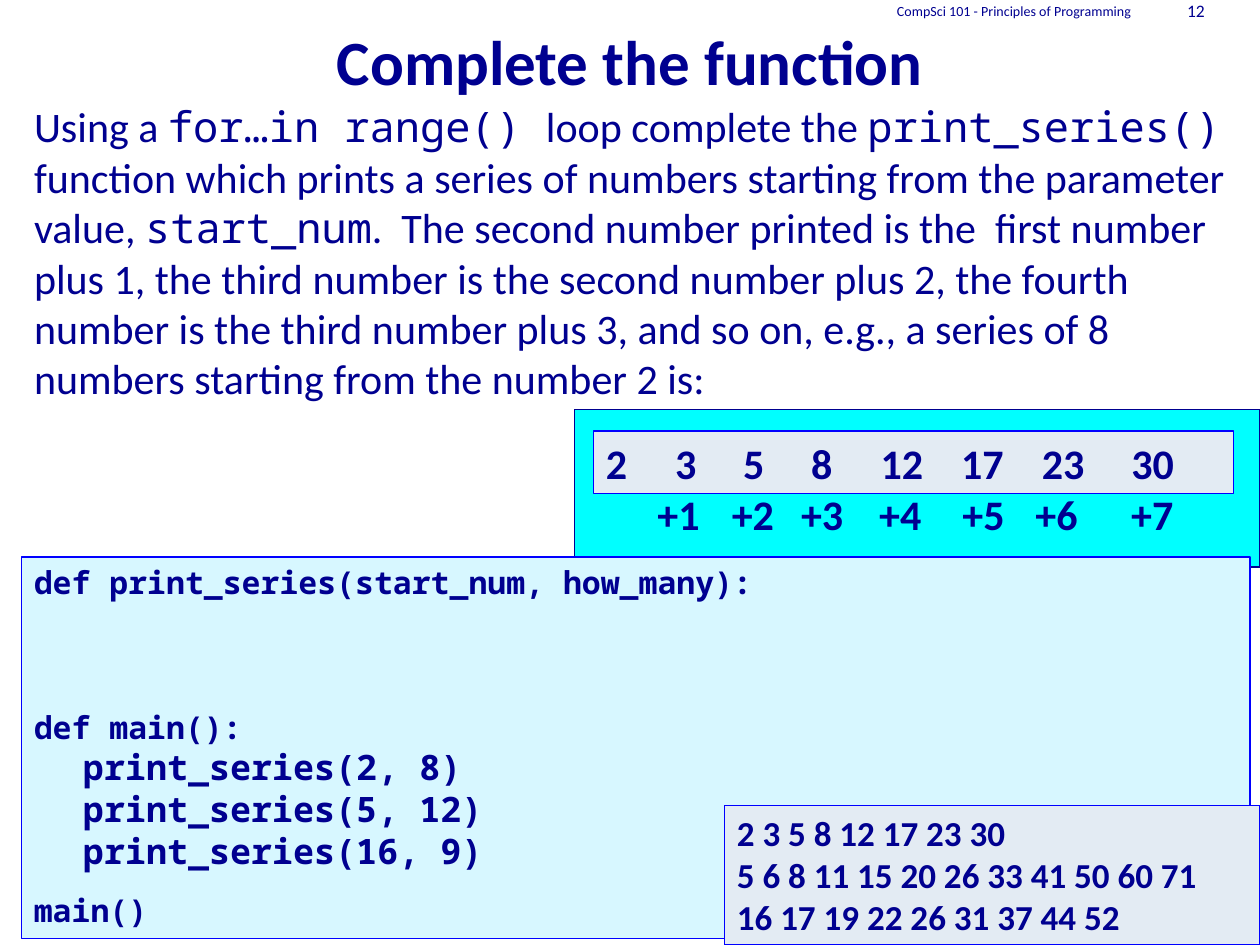
"""Build the "Complete the function" exercise slide."""
from dataclasses import dataclass

from lxml import etree
from pptx import Presentation
from pptx.dml.color import RGBColor
from pptx.enum import shapes, text
from pptx.oxml.ns import qn
from pptx.util import Inches, Pt


@dataclass(frozen=True)
class Theme:
    """Colours, fonts and type sizes."""
    ink: str = "000090"
    edge: str = "0000FF"
    panel: str = "00FFFF"
    code_fill: str = "D7F7FF"
    output_fill: str = "E3EBF3"
    prose: str = "Calibri"
    mono: str = "Noto Sans Mono"
    title: int = 36
    body: int = 24
    output: int = 20
    code: int = 18
    number: int = 10
    footer: int = 8


THEME = Theme()
ALIGN, ANCHOR = text.PP_ALIGN, text.MSO_ANCHOR

TITLE = "Complete the function"
FOOTER = "CompSci 101 - Principles of Programming"
NUMBER = "12"
TASK = [
    ("Using a ", THEME.prose),
    ("for…in range() ", THEME.mono),
    ("loop complete the ", THEME.prose),
    ("print_series() ", THEME.mono),
    ("function which prints a series of numbers starting from the parameter value, ", THEME.prose),
    ("start_num", THEME.mono),
    (".  The second number printed is the  first number plus 1, the third number is the "
     "second number plus 2, the fourth number is the third number plus 3, and so on, e.g., "
     "a series of 8 numbers starting from the number 2 is:", THEME.prose),
]
SERIES = [2, 3, 5, 8, 12, 17, 23, 30]
SERIES_TABS = [0.55, 1.09, 1.63, 2.18, 2.82, 3.46, 4.17]
STEP_LEFTS = [5.12, 5.71, 6.26, 6.88, 7.54, 8.12, 8.88]
CODE = [
    ("def print_series(start_num, how_many):", THEME.code, 0),
    ("def main():", THEME.code, 61),
    ("\tprint_series(2, 8)", THEME.output, 0),
    ("\tprint_series(5, 12)", THEME.output, 0),
    ("\tprint_series(16, 9)", THEME.output, 0),
    ("main()", THEME.code, 11),
]
OUTPUT = [
    "2 3 5 8 12 17 23 30",
    "5 6 8 11 15 20 26 33 41 50 60 71",
    "16 17 19 22 26 31 37 44 52",
]


def color(code):
    """Turn a hex code into a colour."""
    return RGBColor.from_string(code)


def write(para, words, *, size, font=THEME.prose, bold=False, align=ALIGN.LEFT,
          before=None, tabs=()):
    """Add formatted words to a paragraph."""
    para.alignment = align
    if before is not None:
        para.space_before = Pt(before)
    if tabs:
        stops = etree.SubElement(para._p.get_or_add_pPr(), qn("a:tabLst"))
        for stop in tabs:
            etree.SubElement(stops, qn("a:tab"), pos=str(Inches(stop)), algn="l")
    span = para.add_run()
    span.text = words
    span.font.name, span.font.size, span.font.bold = font, Pt(size), bold
    span.font.color.rgb = color(THEME.ink)


def write_lines(box, lines, anchor=ANCHOR.TOP):
    """Fill a box with (words, format) lines."""
    frame = box.text_frame
    frame.word_wrap = True
    frame.vertical_anchor = anchor
    for index, (words, look) in enumerate(lines):
        para = frame.add_paragraph() if index else frame.paragraphs[0]
        write(para, words, **look)


def place(box, left, top, width, height):
    """Move and size a placeholder in inches."""
    box.left, box.top = Inches(left), Inches(top)
    box.width, box.height = Inches(width), Inches(height)


def add_label(parent, at, words, anchor=ANCHOR.TOP, **look):
    """Add a one-line text box."""
    box = parent.add_textbox(*map(Inches, at))
    write_lines(box, [(words, look)], anchor)


def add_panel(parent, at, fill, edge=THEME.edge, lines=()):
    """Add a filled rectangle with optional lines of text."""
    box = parent.add_shape(shapes.MSO_SHAPE.RECTANGLE, *map(Inches, at))
    box.shadow.inherit = False
    box.fill.solid()
    box.fill.fore_color.rgb = color(fill)
    box.line.color.rgb = color(edge)
    box.line.width = Pt(0.75)
    write_lines(box, lines)


def add_task(body):
    """Fill the body placeholder with the unbulleted task."""
    place(body, 0.17, 0.75, 9.75, 5.13)
    body.text_frame.auto_size = text.MSO_AUTO_SIZE.NONE
    para = body.text_frame.paragraphs[0]
    properties = para._p.get_or_add_pPr()
    properties.set("marL", "0")
    properties.set("indent", "0")
    etree.SubElement(properties, qn("a:buNone"))
    for words, font in TASK:
        write(para, words, size=THEME.body, font=font)


def add_series(slide):
    """Add the grouped number series with its steps."""
    group = slide.shapes.add_group_shape().shapes
    look = {"size": THEME.body, "bold": True}
    add_panel(group, (4.56, 3.25, 5.44, 1.25), THEME.panel, THEME.ink)
    add_panel(group, (4.71, 3.42, 5.08, 0.5), THEME.output_fill,
              lines=[("\t".join(map(str, SERIES)), {**look, "tabs": SERIES_TABS})])
    for step, left in enumerate(STEP_LEFTS, 1):
        add_label(group, (left, 3.83, 0.67, 0.5), f"+{step}", **look)


def main():
    """Build and save the deck."""
    deck = Presentation()
    deck.slide_width, deck.slide_height = Inches(10), Inches(7.5)
    slide = deck.slides.add_slide(deck.slide_layouts[1])
    title, body = slide.placeholders
    place(title, 0, 0, 10, 0.83)
    write_lines(title, [(TITLE, {"size": THEME.title, "bold": True, "align": ALIGN.CENTER})],
                ANCHOR.BOTTOM)
    add_task(body)
    for at, words, size in [((9.08, 0, 0.58, 0.17), NUMBER, THEME.number),
                            ((6.08, 0, 3, 0.17), FOOTER, THEME.footer)]:
        add_label(slide.shapes, at, words, ANCHOR.MIDDLE, size=size, align=ALIGN.RIGHT)
    add_series(slide)
    add_panel(slide.shapes, (0.17, 4.42, 9.75, 3.03), THEME.code_fill, lines=[
        (words, {"size": size, "font": THEME.mono, "bold": True, "before": before,
                 "tabs": [0.39]})
        for words, size, before in CODE])
    add_panel(slide.shapes, (5.75, 6.39, 4.25, 1.11), THEME.output_fill, lines=[
        (words, {"size": THEME.output, "bold": True}) for words in OUTPUT])
    deck.save("out.pptx")


if __name__ == "__main__":
    main()
